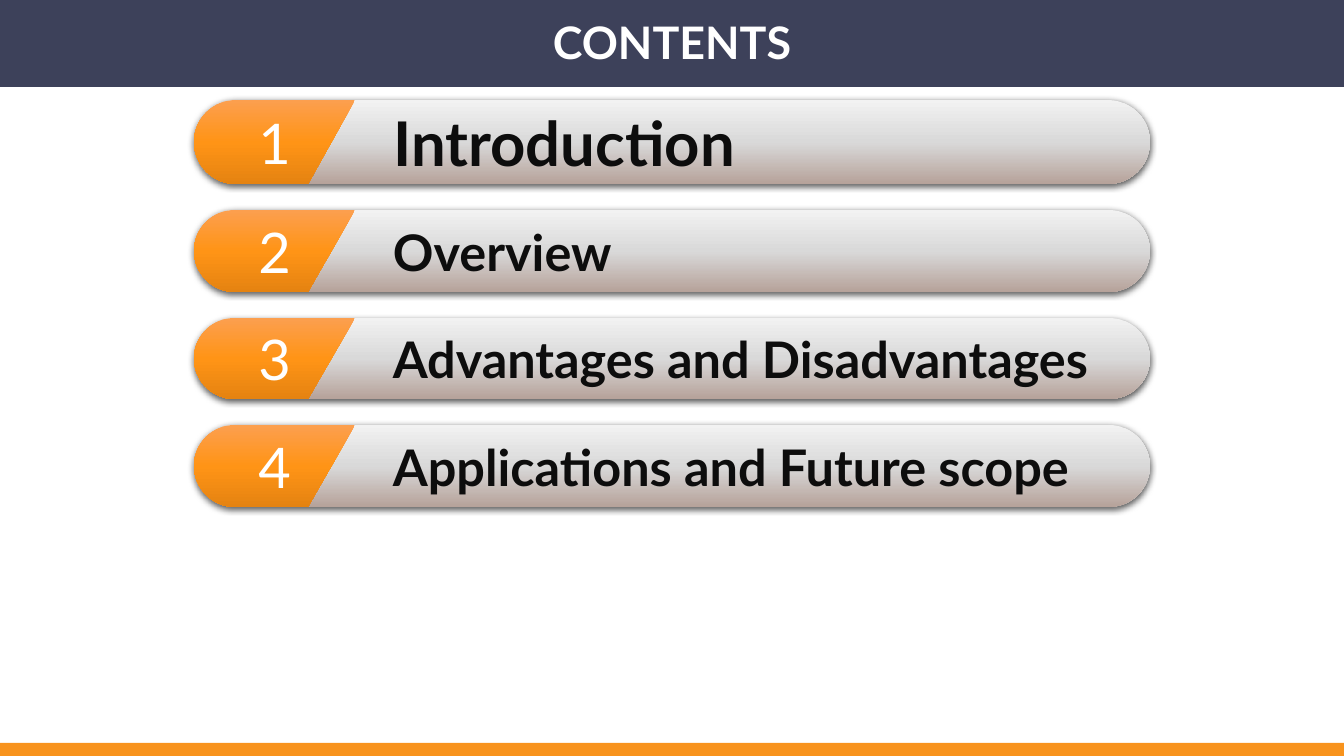
"""Build the contents slide: a title band and four numbered pills."""
from copy import deepcopy

from lxml.etree import SubElement
from pptx import Presentation
from pptx.dml.color import RGBColor
from pptx.enum.shapes import MSO_SHAPE
from pptx.enum.text import MSO_ANCHOR, PP_ALIGN
from pptx.oxml.ns import qn
from pptx.util import Pt

TITLE = "CONTENTS"
TOPICS = [
    ("Introduction", 44, 100, 84),
    ("Overview", 36, 210, 82),
    ("Advantages and Disadvantages", 36, 318, 81),
    ("Applications and Future scope", 36, 425, 82),
]

FONT = "Lato"
WHITE = RGBColor(0xFF, 0xFF, 0xFF)
INK = RGBColor(0x0D, 0x0D, 0x0D)
NAVY = RGBColor(0x3D, 0x41, 0x5A)
ORANGE = RGBColor(0xF8, 0x93, 0x1D)
PILL_SHADES = [RGBColor(0xF2, 0xF2, 0xF2), RGBColor(0xD9, 0xD9, 0xD9), RGBColor(0xB6, 0xA2, 0x9A)]
TAB_SHADES = [RGBColor(0xFC, 0x9F, 0x4F), RGBColor(0xFF, 0x94, 0x16), RGBColor(0xE5, 0x83, 0x11)]

SLIDE_W, SLIDE_H = 1344, 756
BANDS = [(-1, 0, 1346, 87, NAVY), (-3, 743, 1347, 16, ORANGE)]
PILL_LEFT, PILL_W = 194, 956
TAB_TOP_W, TAB_BOTTOM_W = 161, 114
LABEL_INSET = 187
ARC_PULL = 0.55


def px(length):
    return round(length * 914400 / 100.8)


def write(shape, text, size, color, bold, align, anchor=MSO_ANCHOR.MIDDLE):
    frame = shape.text_frame
    frame.word_wrap = True
    frame.vertical_anchor = anchor
    paragraph = frame.paragraphs[0]
    paragraph.alignment = align
    run = paragraph.add_run()
    run.text = text
    run.font.name = FONT
    run.font.size = Pt(size)
    run.font.bold = bold
    run.font.color.rgb = color
    return paragraph


def clear_outline(shape):
    shape.line.fill.background()
    shape.shadow.inherit = False


def shade(shape, colors):
    shape.fill.gradient()
    shape.fill.gradient_angle = 270
    stop_list = shape._element.spPr.find(qn("a:gradFill")).find(qn("a:gsLst"))
    stop_list.insert(1, deepcopy(stop_list[0]))
    for stop, position, color in zip(shape.fill.gradient_stops, (0, 0.5, 1), colors):
        stop.position = position
        stop.color.rgb = color


def cast_shadow(shape):
    effects = shape._element.spPr.find(qn("a:effectLst"))
    shadow = SubElement(effects, qn("a:outerShdw"), blurRad=str(Pt(4.5)), dist=str(Pt(1.5)),
                        dir="5400000", algn="ctr", rotWithShape="0")
    black = SubElement(shadow, qn("a:srgbClr"), val="000000")
    SubElement(black, qn("a:alpha"), val="63000")


def add_band(slide, left, top, width, height, color):
    band = slide.shapes.add_shape(MSO_SHAPE.RECTANGLE, px(left), px(top), px(width), px(height))
    band.fill.solid()
    band.fill.fore_color.rgb = color
    clear_outline(band)


def bend(segment, controls):
    """Turn a line segment into a curve that keeps its end point."""
    segment.tag = qn("a:cubicBezTo")
    for index, (x, y) in enumerate(controls):
        point = SubElement(segment, qn("a:pt"), x=str(px(x)), y=str(px(y)))
        segment.insert(index, point)


def add_tab(row, top, height):
    radius = height / 2
    near, far = radius * (1 - ARC_PULL), radius * (1 + ARC_PULL)
    corners = [(TAB_TOP_W, 0), (TAB_BOTTOM_W, height), (radius, height), (0, radius), (radius, 0)]
    start, *rest = [(px(PILL_LEFT + x), px(top + y)) for x, y in corners]
    outline = row.build_freeform(*start)
    outline.add_line_segments(rest, close=True)
    tab = outline.convert_to_shape()
    lower, upper = list(tab._element.spPr.iter(qn("a:lnTo")))[2:4]
    bend(lower, [(near, height), (0, far)])
    bend(upper, [(0, near), (near, 0)])
    return tab


def add_topic(slide, number, label, size, top, height):
    row = slide.shapes.add_group_shape().shapes
    pill = row.add_shape(MSO_SHAPE.ROUNDED_RECTANGLE, px(PILL_LEFT), px(top), px(PILL_W), px(height))
    pill.adjustments[0] = 0.5
    shade(pill, PILL_SHADES)
    clear_outline(pill)
    cast_shadow(pill)
    pill.text_frame.margin_left = px(LABEL_INSET)
    write(pill, label, size, INK, True, PP_ALIGN.LEFT)

    tab = add_tab(row, top, height)
    shade(tab, TAB_SHADES)
    clear_outline(tab)
    write(tab, str(number), 40, WHITE, False, PP_ALIGN.CENTER)


def main():
    deck = Presentation()
    deck.slide_width, deck.slide_height = px(SLIDE_W), px(SLIDE_H)
    slide = deck.slides.add_slide(deck.slide_layouts[6])
    for band in BANDS:
        add_band(slide, *band)
    title = slide.shapes.add_textbox(px(29), px(10), px(1286), px(64))
    heading = write(title, TITLE, 32, WHITE, True, PP_ALIGN.CENTER, MSO_ANCHOR.BOTTOM)
    heading.line_spacing = 0.9
    for number, topic in enumerate(TOPICS, 1):
        add_topic(slide, number, *topic)
    deck.save("out.pptx")


if __name__ == "__main__":
    main()
